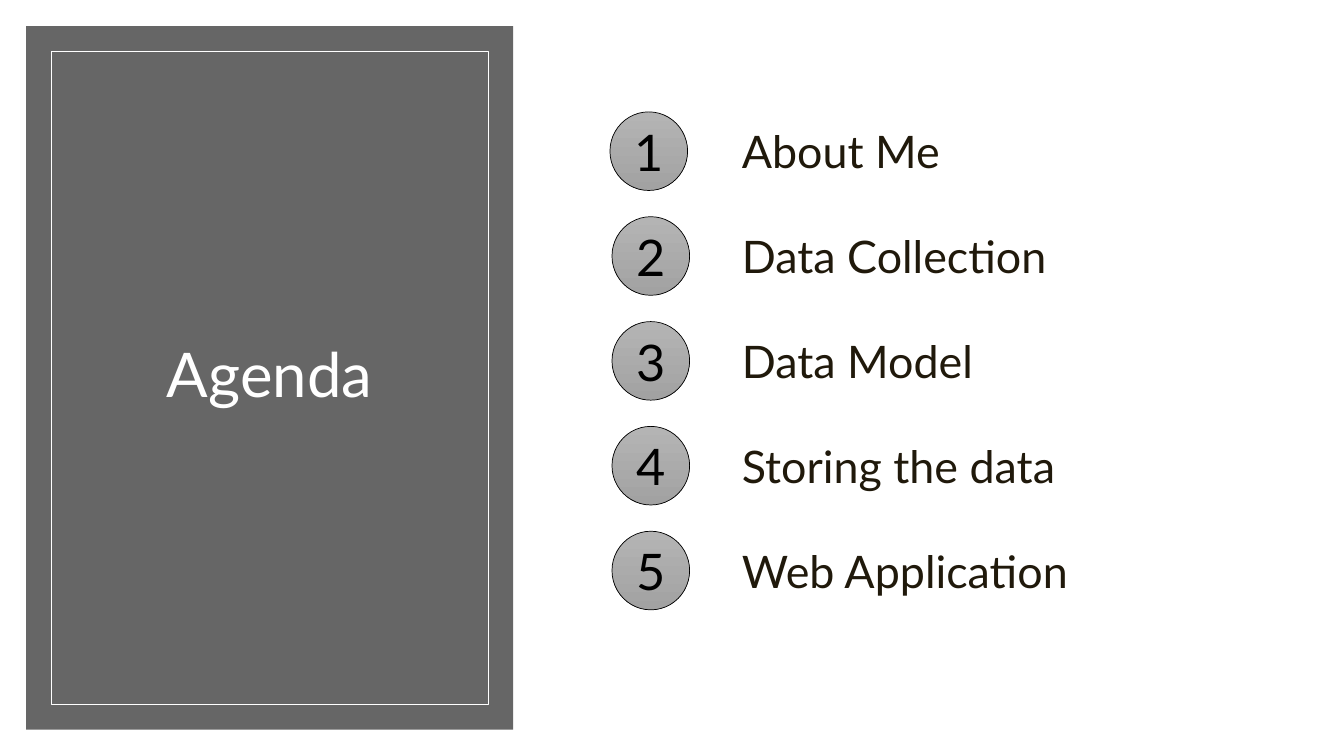
"""Build the agenda slide: a grey title panel beside five numbered topics."""
import pptx
import pptx.dml.color
import pptx.enum.shapes
import pptx.enum.text
import pptx.util

WHITE = pptx.dml.color.RGBColor(0xFF, 0xFF, 0xFF)
BLACK = pptx.dml.color.RGBColor(0x00, 0x00, 0x00)
PANEL_GREY = pptx.dml.color.RGBColor(0x66, 0x66, 0x66)
LABEL_BROWN = pptx.dml.color.RGBColor(0x20, 0x19, 0x0B)
BADGE_TOP = pptx.dml.color.RGBColor(0xB4, 0xB4, 0xB4)
BADGE_BOTTOM = pptx.dml.color.RGBColor(0xA2, 0xA2, 0xA2)

FONT = "Lato"
EMU_PER_PX = 9144
FIRST_ROW_TOP = 111
ROW_PITCH = 104
TOPICS = ["About Me", "Data Collection", "Data Model", "Storing the data", "Web Application"]


def px(*lengths):
    """Turn pixel lengths into EMU."""
    return [pptx.util.Emu(length * EMU_PER_PX) for length in lengths]


def write_text(shape, text, *, size, color, align="LEFT", anchor="MIDDLE", line_spacing=None):
    """Put one formatted paragraph into a shape."""
    frame = shape.text_frame
    frame.word_wrap = True
    frame.vertical_anchor = pptx.enum.text.MSO_ANCHOR[anchor]
    paragraph = frame.paragraphs[0]
    paragraph.alignment = pptx.enum.text.PP_ALIGN[align]
    paragraph.line_spacing = line_spacing
    run = paragraph.add_run()
    run.text = text
    run.font.name = FONT
    run.font.size = pptx.util.Pt(size)
    run.font.color.rgb = color


def add_outlined_shape(slide, kind, box, *, fill=None, line=None):
    """Add a preset shape with an optional solid fill and a thin line."""
    shape = slide.shapes.add_shape(pptx.enum.shapes.MSO_SHAPE[kind], *px(*box))
    shape.shadow.inherit = False
    if fill is None:
        shape.fill.background()
    else:
        shape.fill.solid()
        shape.fill.fore_color.rgb = fill
    if line is None:
        shape.line.fill.background()
    else:
        shape.line.color.rgb = line
        shape.line.width = pptx.util.Pt(0.5)
    return shape


def add_badge(slide, number, left, top):
    """Add a numbered circle with a vertical grey gradient."""
    badge = add_outlined_shape(slide, "OVAL", (left, top, 77, 78), line=BLACK)
    badge.fill.gradient()
    badge.fill.gradient_angle = 270
    for stop, color in zip(badge.fill.gradient_stops, (BADGE_TOP, BADGE_BOTTOM)):
        stop.color.rgb = color
    write_text(badge, str(number), size=36, color=BLACK, align="CENTER")


def add_label(slide, text, top):
    """Add the text of one agenda topic."""
    label = slide.shapes.add_textbox(*px(726, top, 534, 64))
    write_text(label, text, size=32, color=LABEL_BROWN, anchor="TOP")
    label.text_frame.auto_size = pptx.enum.text.MSO_AUTO_SIZE.SHAPE_TO_FIT_TEXT


def add_title(slide, text):
    """Place the title placeholder in front of the panel."""
    title = slide.shapes.title
    title.left, title.top, title.width, title.height = px(74, 96, 387, 557)
    write_text(title, text, size=44, color=WHITE, align="CENTER", line_spacing=0.9)
    slide.shapes.element.append(title.element)


def main():
    """Assemble and save the slide."""
    presentation = pptx.Presentation()
    presentation.slide_width = pptx.util.Inches(13.33)
    presentation.slide_height = pptx.util.Inches(7.5)
    slide = presentation.slides.add_slide(presentation.slide_layouts.get_by_name("Title Only"))
    slide.background.fill.solid()
    slide.background.fill.fore_color.rgb = WHITE

    add_outlined_shape(slide, "RECTANGLE", (26, 26, 483, 698), fill=PANEL_GREY)
    add_outlined_shape(slide, "RECTANGLE", (51, 51, 433, 648), line=WHITE)
    add_title(slide, "Agenda")

    for row, topic in enumerate(TOPICS):
        top = FIRST_ROW_TOP + row * ROW_PITCH
        add_badge(slide, row + 1, 605 if row == 0 else 607, top)
        add_label(slide, topic, top + 7)

    presentation.save("out.pptx")


if __name__ == "__main__":
    main()
